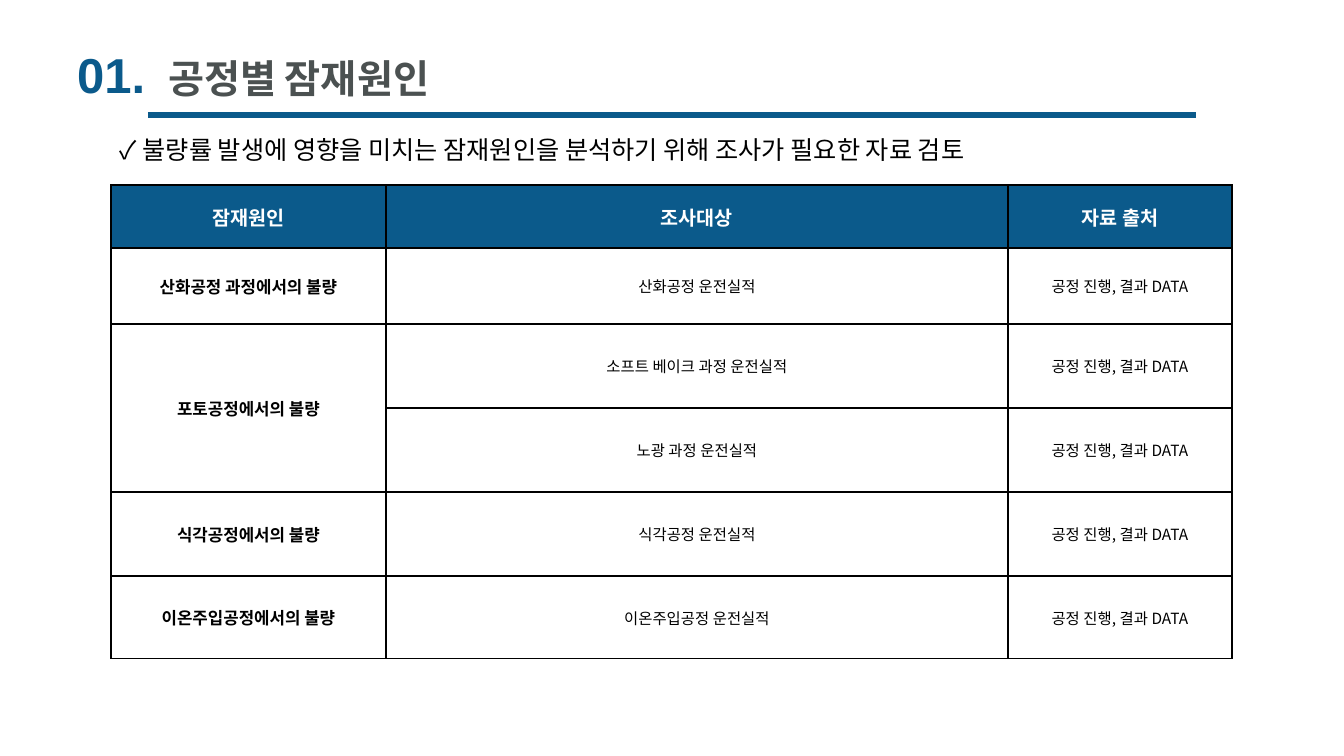
from dataclasses import dataclass

from lxml.etree import SubElement
from pptx import Presentation
from pptx.dml.color import RGBColor
from pptx.enum.shapes import MSO_CONNECTOR
from pptx.enum.text import MSO_ANCHOR, MSO_AUTO_SIZE, PP_ALIGN
from pptx.oxml import parse_xml
from pptx.oxml.ns import nsdecls, qn
from pptx.util import Pt

SLIDE_WIDTH, SLIDE_HEIGHT = 1344, 756


@dataclass(frozen=True)
class Theme:
    blue: str = "0B5A8B"
    gray: str = "4B5151"
    black: str = "000000"
    white: str = "FFFFFF"
    latin: str = "Arial"
    korean: str = "Noto Sans CJK KR"
    number_size: int = 35
    title_size: int = 28
    lead_size: int = 18
    header_size: int = 14
    cause_size: int = 12
    body_size: int = 11


THEME = Theme()
COLUMN_WIDTHS = (275, 622, 224)
ROW_HEIGHTS = (63, 76, 84, 84, 84, 83)
HEADERS = ("잠재원인", "조사대상", "자료 출처")
SURVEYS = (
    ("산화공정 과정에서의 불량", ("산화공정 운전실적",)),
    ("포토공정에서의 불량", ("소프트 베이크 과정 운전실적", "노광 과정 운전실적")),
    ("식각공정에서의 불량", ("식각공정 운전실적",)),
    ("이온주입공정에서의 불량", ("이온주입공정 운전실적",)),
)
DATA_SOURCE = "공정 진행, 결과 DATA"


def px(length):
    return round(length * 12192000 / SLIDE_WIDTH)


def place(shape, left, top, width, height):
    shape.left, shape.top = px(left), px(top)
    shape.width, shape.height = px(width), px(height)


def format_run(run, size, color, bold=False, font=THEME.korean):
    run.font.size = Pt(size)
    run.font.bold = bold
    run.font.color.rgb = RGBColor.from_string(color)
    run.font.name = font
    SubElement(run.font._element, qn("a:ea"), typeface=THEME.korean)


def add_title(slide, number, title):
    """Fill the title placeholder with a number and a tabbed heading."""
    shape = slide.shapes.title
    place(shape, 67, 39, 675, 70)
    frame = shape.text_frame
    frame.auto_size = MSO_AUTO_SIZE.SHAPE_TO_FIT_TEXT
    frame.vertical_anchor = MSO_ANCHOR.TOP
    paragraph = frame.paragraphs[0]
    paragraph.alignment = PP_ALIGN.LEFT
    tabs = SubElement(paragraph._p.get_or_add_pPr(), qn("a:tabLst"))
    SubElement(tabs, qn("a:tab"), pos=str(px(91)), algn="l")
    for text, size, color, font in (
        (f"{number}\t", THEME.number_size, THEME.blue, THEME.latin),
        (title, THEME.title_size, THEME.gray, THEME.korean),
    ):
        run = paragraph.add_run()
        run.text = text
        format_run(run, size, color, True, font)


def add_rule(slide, left, right, y):
    line = slide.shapes.add_connector(
        MSO_CONNECTOR.STRAIGHT, px(left), px(y), px(right), px(y))
    line.line.color.rgb = RGBColor.from_string(THEME.blue)
    line.line.width = Pt(4)
    SubElement(line._element.spPr, qn("a:effectLst"))


def add_lead(slide, text):
    shape = slide.shapes.add_textbox(px(110), px(129), px(1030), px(40))
    frame = shape.text_frame
    frame.word_wrap = True
    frame.auto_size = MSO_AUTO_SIZE.SHAPE_TO_FIT_TEXT
    frame.text = text
    format_run(frame.paragraphs[0].runs[0], THEME.lead_size, THEME.black)


def add_borders(cell):
    """Draw all four sides; border elements must come before the fill."""
    properties = cell._tc.get_or_add_tcPr()
    for index, side in enumerate(("lnL", "lnR", "lnT", "lnB")):
        properties.insert(index, parse_xml(
            f'<a:{side} {nsdecls("a")} w="{Pt(1)}"><a:solidFill>'
            f'<a:srgbClr val="{THEME.black}"/></a:solidFill></a:{side}>'))


def fill_cell(cell, text, size, color=THEME.black, bold=False):
    cell.vertical_anchor = MSO_ANCHOR.MIDDLE
    paragraph = cell.text_frame.paragraphs[0]
    paragraph.text = text
    paragraph.alignment = PP_ALIGN.CENTER
    format_run(paragraph.runs[0], size, color, bold)


def add_survey_table(slide):
    frame = slide.shapes.add_table(
        len(ROW_HEIGHTS), len(COLUMN_WIDTHS), px(111), px(185),
        px(sum(COLUMN_WIDTHS)), px(sum(ROW_HEIGHTS)))
    table = frame.table
    for column, width in zip(table.columns, COLUMN_WIDTHS):
        column.width = px(width)
    for index, (row, height) in enumerate(zip(table.rows, ROW_HEIGHTS)):
        row.height = px(height)
        for cell in row.cells:
            cell.fill.solid()
            cell.fill.fore_color.rgb = RGBColor.from_string(
                THEME.white if index else THEME.blue)
            add_borders(cell)

    for column, header in enumerate(HEADERS):
        fill_cell(table.cell(0, column), header, THEME.header_size, THEME.white, True)
    row = 1
    for cause, targets in SURVEYS:
        cause_cell = table.cell(row, 0)
        if len(targets) > 1:
            cause_cell.merge(table.cell(row + len(targets) - 1, 0))
        fill_cell(cause_cell, cause, THEME.cause_size, bold=True)
        for target in targets:
            fill_cell(table.cell(row, 1), target, THEME.body_size)
            fill_cell(table.cell(row, 2), DATA_SOURCE, THEME.body_size)
            row += 1


def main():
    presentation = Presentation()
    presentation.slide_width = px(SLIDE_WIDTH)
    presentation.slide_height = px(SLIDE_HEIGHT)
    slide = presentation.slides.add_slide(presentation.slide_layouts[5])
    add_title(slide, "01.", "공정별 잠재원인")
    add_rule(slide, 148, 1196, 115)
    add_survey_table(slide)
    add_lead(slide, "✓ 불량률 발생에 영향을 미치는 잠재원인을 분석하기 위해 조사가 필요한 자료 검토")
    presentation.save("out.pptx")


if __name__ == "__main__":
    main()
